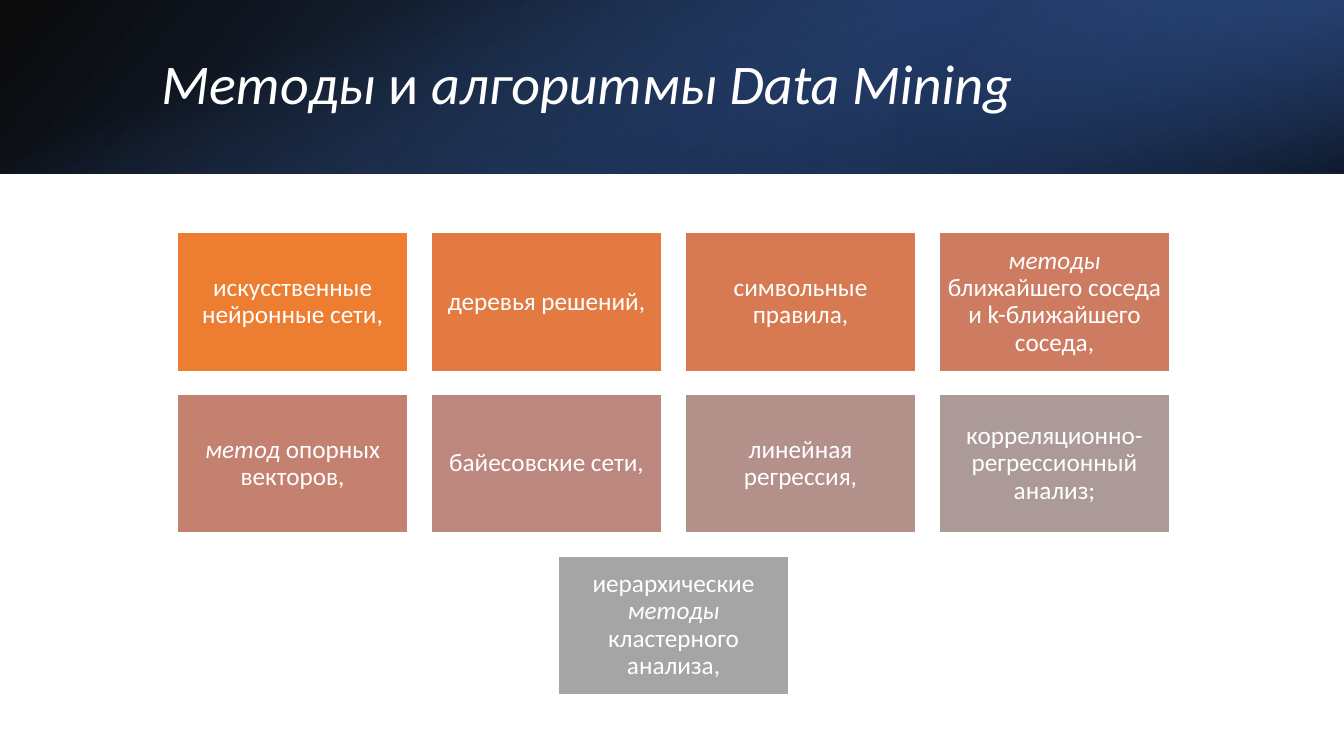
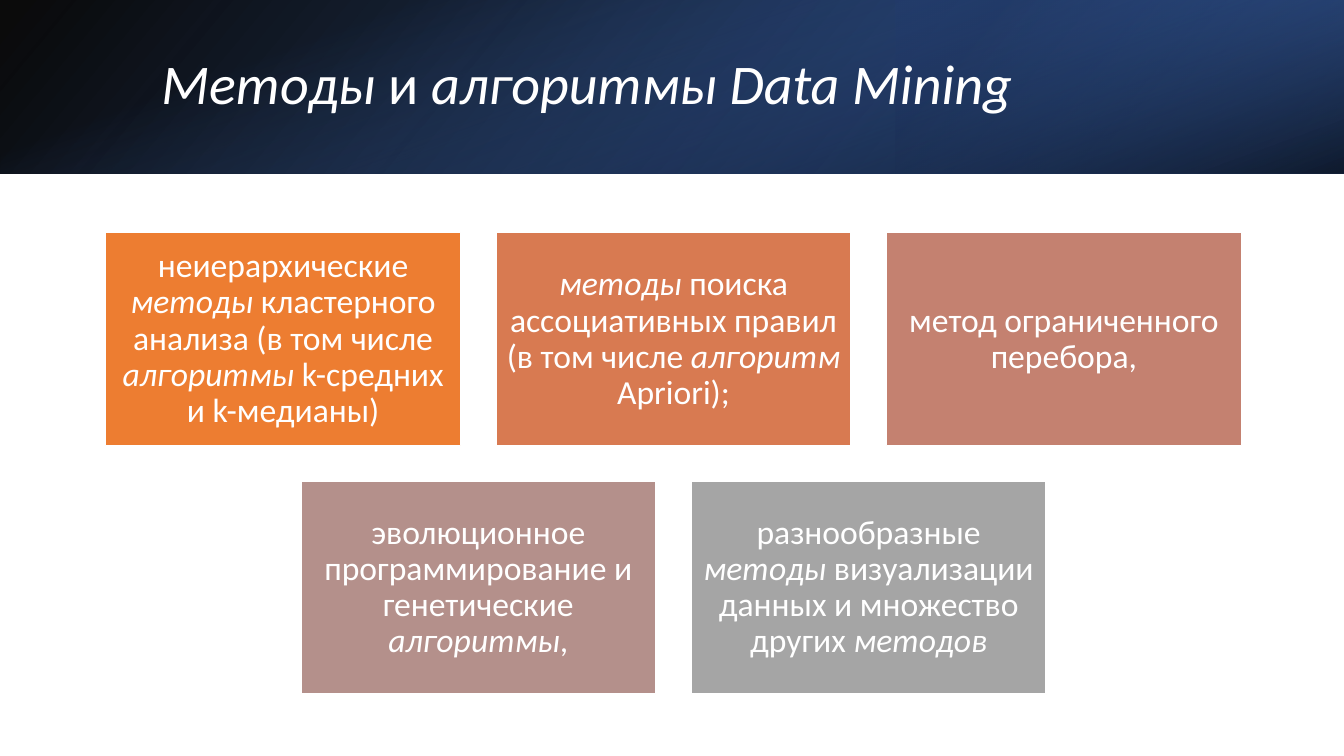
from dataclasses import dataclass

from pptx import Presentation
from pptx.dml.color import RGBColor
from pptx.enum.shapes import MSO_SHAPE
from pptx.enum.text import MSO_ANCHOR, MSO_AUTO_SIZE, PP_ALIGN
from pptx.oxml import parse_xml
from pptx.oxml.ns import nsdecls, qn
from pptx.util import Inches, Pt

COL = {
    "white": "FFFFFF", "black": "000000", "navy": "203864",
    "blue": "4472C4", "deep": "2F5597",
    "card1": "ED7D31", "card2": "E27A42", "card3": "D87A51",
    "card4": "CE7C61", "card5": "C48170", "card6": "BC877E",
    "card7": "B4908B", "card8": "AC9A99", "card9": "A5A5A5",
}
RAMP = [name for name in COL if name.startswith("card")]
FONT = "Calibri"
WIDE, HIGH = 13.33, 7.5
BAND = 1.72
TITLE = "*Методы* и *алгоритмы Data Mining*"
MID, TOP = 6.68, 2.31  # centre line and top edge of the card grid


@dataclass(frozen=True)
class Stop:
    pos: int
    color: str
    alpha: int = 100


@dataclass(frozen=True)
class Band:
    left: float
    top: float
    width: float
    height: float
    angle: int
    stops: tuple[Stop, Stop]
    turn: int = 0
    flip: bool = False


@dataclass(frozen=True)
class Grid:
    cols: int
    width: float
    size: int
    inset: float
    cards: tuple[str, ...]


BANDS = (
    Band(0, 0, WIDE, BAND, 140,
         (Stop(0, "black", 96), Stop(100, "deep")), flip=True),
    Band(WIDE * 2 / 3, 0, WIDE / 3, BAND, 320,
         (Stop(19, "navy", 68), Stop(100, "blue", 79)), turn=180, flip=True),
    Band((WIDE - BAND) / 2, (BAND - WIDE) / 2, BAND, WIDE, 340,
         (Stop(23, "blue", 0), Stop(99, "black", 74)), turn=90),
)

GRIDS = (
    Grid(4, 2.29, 18, 0.07, (
        "искусственные нейронные сети,",
        "деревья решений,",
        "символьные правила,",
        "*методы* ближайшего соседа и k-ближайшего соседа,",
        "*метод* опорных векторов,",
        "байесовские сети,",
        "линейная регрессия,",
        "корреляционно-регрессионный анализ;",
        "иерархические *методы* кластерного анализа,",
    )),
    Grid(3, 3.52, 24, 0.1, (
        "неиерархические *методы* кластерного анализа "
        "(в том числе *алгоритмы* k-средних и k-медианы)",
        "*методы* поиска ассоциативных правил "
        "(в том числе *алгоритм* Apriori);",
        "метод ограниченного перебора,",
        "эволюционное программирование и генетические *алгоритмы*,",
        "разнообразные *методы* визуализации данных "
        "и множество других *методов*",
    )),
)


def rgb(name: str) -> RGBColor:
    return RGBColor.from_string(COL[name])


def put(item, form: dict) -> None:
    """Set each attribute of item from the format values."""
    for key, value in form.items():
        setattr(item, key, value)


def write(frame, text: str, size: int, align: PP_ALIGN, inset: float) -> None:
    """Fill a frame with white text; parts between asterisks are italic."""
    put(frame, {"word_wrap": True, "auto_size": MSO_AUTO_SIZE.NONE,
                "vertical_anchor": MSO_ANCHOR.MIDDLE})
    put(frame, {f"margin_{side}": Inches(inset)
                for side in ("left", "right", "top", "bottom")})
    para = frame.paragraphs[0]
    put(para, {"alignment": align, "line_spacing": 0.9})
    for place, part in enumerate(text.split("*")):
        if part:
            run = para.add_run()
            run.text = part
            put(run.font, {"name": FONT, "size": Pt(size),
                           "italic": place % 2 == 1})
            run.font.color.rgb = rgb("white")


def add_rect(slide, left: float, top: float, width: float, height: float):
    rect = slide.shapes.add_shape(
        MSO_SHAPE.RECTANGLE, Inches(left), Inches(top),
        Inches(width), Inches(height))
    rect.shadow.inherit = False
    return rect


def add_band(slide, band: Band) -> None:
    """Draw one gradient layer of the header, behind the title."""
    rect = add_rect(slide, band.left, band.top, band.width, band.height)
    rect.rotation = band.turn
    rect.line.fill.background()
    props = rect.element.spPr
    if band.flip:
        props.find(qn("a:xfrm")).set("flipH", "1")
    stops = "".join(
        f'<a:gs pos="{stop.pos * 1000}"><a:srgbClr val="{COL[stop.color]}">'
        f'<a:alpha val="{stop.alpha * 1000}"/></a:srgbClr></a:gs>'
        for stop in band.stops)
    props.find(qn("a:prstGeom")).addnext(parse_xml(
        f'<a:gradFill rotWithShape="1" {nsdecls("a")}><a:gsLst>{stops}'
        f'</a:gsLst><a:lin ang="{band.angle * 60000}" scaled="0"/>'
        f'</a:gradFill>'))
    slide.shapes.title.element.addprevious(rect.element)


def add_grid(slide, grid: Grid) -> None:
    """Draw the cards row by row, each row centred."""
    height, gap = grid.width * 0.6, grid.width * 0.1
    step = (len(RAMP) - 1) // (len(grid.cards) - 1)
    for place, text in enumerate(grid.cards):
        row, col = divmod(place, grid.cols)
        count = min(grid.cols, len(grid.cards) - row * grid.cols)
        start = MID - (count * (grid.width + gap) - gap) / 2
        card = add_rect(slide, start + col * (grid.width + gap),
                        TOP + row * (height + gap), grid.width, height)
        card.fill.solid()
        card.fill.fore_color.rgb = rgb(RAMP[place * step])
        card.line.color.rgb = rgb("white")
        card.line.width = Pt(1)
        write(card.text_frame, text, grid.size, PP_ALIGN.CENTER, grid.inset)


def add_title(slide) -> None:
    title = slide.shapes.title
    put(title, {"left": Inches(1.5), "top": Inches(0.38),
                "width": Inches(10.98), "height": Inches(0.96)})
    write(title.text_frame, TITLE, 40, PP_ALIGN.LEFT, 0.1)


def main() -> None:
    deck = Presentation()
    put(deck, {"slide_width": Inches(WIDE), "slide_height": Inches(HIGH)})
    for grid in GRIDS:
        slide = deck.slides.add_slide(deck.slide_layouts[5])
        add_title(slide)
        for band in BANDS:
            add_band(slide, band)
        add_grid(slide, grid)
    deck.save("out.pptx")


if __name__ == "__main__":
    main()
